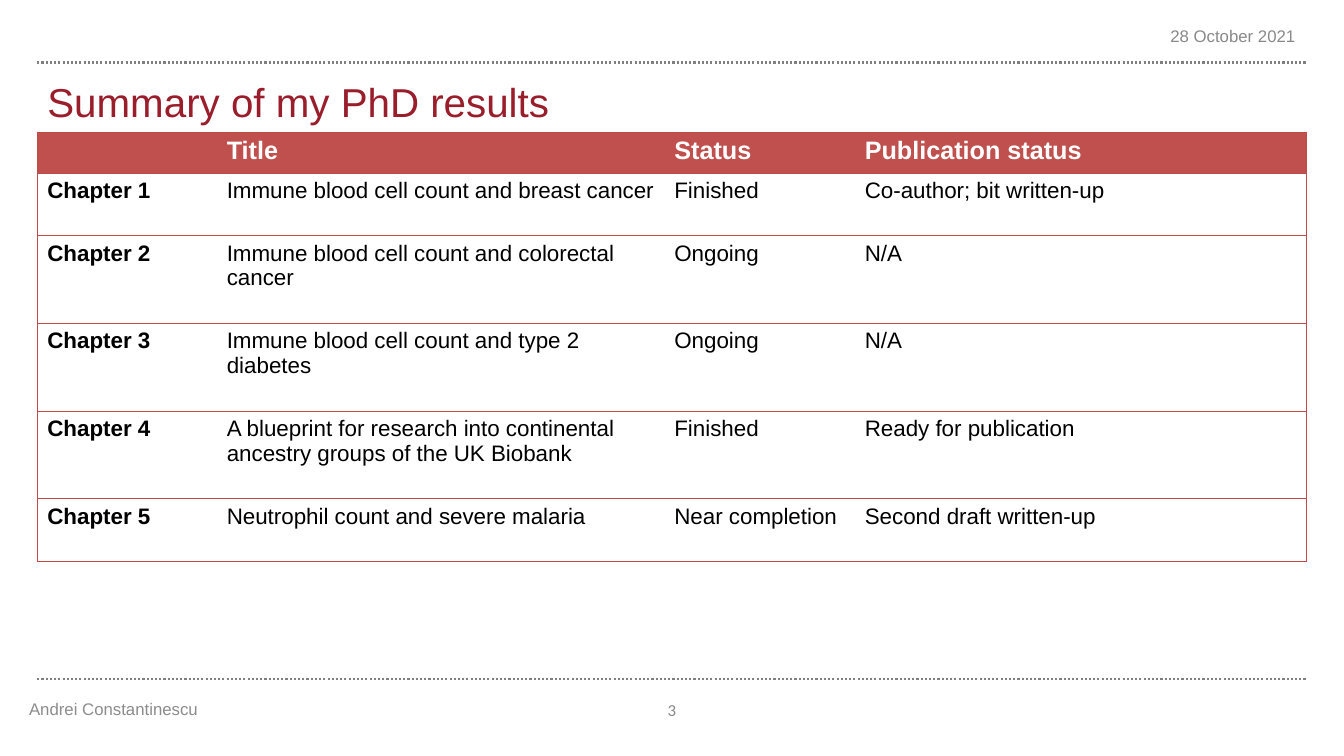
from dataclasses import dataclass

from lxml import etree
from pptx import Presentation
from pptx.dml.color import RGBColor
from pptx.enum.dml import MSO_LINE
from pptx.enum.shapes import MSO_CONNECTOR
from pptx.enum.text import MSO_ANCHOR, MSO_AUTO_SIZE, PP_ALIGN
from pptx.oxml.ns import qn
from pptx.util import Inches, Length, Pt

LEFT, CENTER, RIGHT = PP_ALIGN.LEFT, PP_ALIGN.CENTER, PP_ALIGN.RIGHT
TOP, MIDDLE, BOTTOM = MSO_ANCHOR.TOP, MSO_ANCHOR.MIDDLE, MSO_ANCHOR.BOTTOM
NO_AUTOFIT = MSO_AUTO_SIZE.NONE
STRAIGHT = MSO_CONNECTOR.STRAIGHT
DOTTED = MSO_LINE.ROUND_DOT

WHITE = RGBColor(0xFF, 0xFF, 0xFF)
BLACK = RGBColor(0, 0, 0)
CRIMSON = RGBColor(0x9A, 0x1D, 0x2B)
HEADER_RED = RGBColor(0xC0, 0x50, 0x4D)
BORDER_RED = RGBColor(0xBF, 0x4C, 0x48)
RULE_GRAY = RGBColor(0x80, 0x80, 0x80)
NOTE_GRAY = RGBColor(0x89, 0x89, 0x89)
AUTHOR_GRAY = RGBColor(0x8C, 0x8C, 0x8C)

# The page is a grid of 0.1 inch squares.
PAGE_COLUMNS, PAGE_ROWS = 133.33, 75
MARGIN, CONTENT_WIDTH = 3.7, 126
RULE_ROWS = (6.2, 67.4)
TABLE_TOP = 13.1
COLUMN_WIDTHS = (17.8, 44.4, 18.9, 34.6, 10.2)
ROW_HEIGHTS = (4.1, 6.2, 8.7, 8.7, 8.7, 6.2)

TABLE_ROWS = (
    ("", "Title", "Status", "Publication status", ""),
    ("Chapter 1", "Immune blood cell count and breast cancer",
     "Finished", "Co-author; bit written-up", ""),
    ("Chapter 2", "Immune blood cell count and colorectal cancer",
     "Ongoing", "N/A", ""),
    ("Chapter 3", "Immune blood cell count and type 2 diabetes",
     "Ongoing", "N/A", ""),
    ("Chapter 4", "A blueprint for research into continental ancestry groups "
     "of the UK Biobank", "Finished", "Ready for publication", ""),
    ("Chapter 5", "Neutrophil count and severe malaria",
     "Near completion", "Second draft written-up", ""),
)


@dataclass(frozen=True)
class Note:
    text: str
    left: float
    top: float
    width: float
    font_name: str
    color: RGBColor
    align: PP_ALIGN
    anchor: MSO_ANCHOR


NOTES = (
    Note("Andrei Constantinescu", 1.9, 68.3, 56.4, "Arial", AUTHOR_GRAY, LEFT, MIDDLE),
    Note("3", 61.4, 68.4, 10.5, "Calibri", NOTE_GRAY, CENTER, MIDDLE),
    Note("28 October 2021", 98.4, 2.1, 31.1, "Arial", NOTE_GRAY, RIGHT, TOP),
)


def grid(squares: float) -> Length:
    return Inches(squares / 10)


def style_font(para, name: str, size: float, color: RGBColor, bold: bool = False) -> None:
    para.font.name = name
    para.font.size = Pt(size)
    para.font.bold = bold
    para.font.color.rgb = color


def add_rule(page, row: float) -> None:
    rule = page.shapes.add_connector(
        STRAIGHT, grid(MARGIN), grid(row), grid(MARGIN + CONTENT_WIDTH), grid(row))
    rule.line.color.rgb = RULE_GRAY
    rule.line.width = Pt(1.5)
    rule.line.dash_style = DOTTED
    etree.SubElement(rule._element.spPr, qn("a:effectLst"))


def set_title(page, text: str) -> None:
    title = page.shapes.title
    title.left, title.top = grid(MARGIN), grid(7)
    title.width, title.height = grid(CONTENT_WIDTH), grid(6)
    frame = title.text_frame
    frame.text = text
    frame.auto_size = NO_AUTOFIT
    frame.vertical_anchor = BOTTOM
    para = frame.paragraphs[0]
    para.alignment = LEFT
    style_font(para, "Arial", 28.8, CRIMSON)


def add_note(page, note: Note) -> None:
    box = page.shapes.add_textbox(
        grid(note.left), grid(note.top), grid(note.width), grid(4))
    frame = box.text_frame
    frame.word_wrap = True
    frame.vertical_anchor = note.anchor
    frame.text = note.text
    para = frame.paragraphs[0]
    para.alignment = note.align
    style_font(para, note.font_name, 12, note.color)


def set_borders(cell, visible_sides: str) -> None:
    """Draw the sides named by letters (L, R, T, B) and clear the others."""
    properties = cell._tc.get_or_add_tcPr()
    for side in "LRTB":
        border = etree.SubElement(properties, qn(f"a:ln{side}"), w=str(Pt(0.75)))
        if side in visible_sides:
            fill = etree.SubElement(border, qn("a:solidFill"))
            etree.SubElement(fill, qn("a:srgbClr"), val=str(BORDER_RED))
        else:
            etree.SubElement(border, qn("a:noFill"))


def add_summary_table(page) -> None:
    table = page.shapes.add_table(
        len(TABLE_ROWS), len(COLUMN_WIDTHS), grid(MARGIN), grid(TABLE_TOP),
        grid(sum(COLUMN_WIDTHS)), grid(sum(ROW_HEIGHTS))).table
    table.horz_banding = False
    for column, width in zip(table.columns, COLUMN_WIDTHS):
        column.width = grid(width)
    last_column = len(COLUMN_WIDTHS) - 1
    for row_index, texts in enumerate(TABLE_ROWS):
        table.rows[row_index].height = grid(ROW_HEIGHTS[row_index])
        is_header = row_index == 0
        for column_index, text in enumerate(texts):
            cell = table.cell(row_index, column_index)
            outer_side = {0: "L", last_column: "R"}.get(column_index, "")
            set_borders(cell, "TB" + outer_side)
            if is_header:
                cell.fill.solid()
                cell.fill.fore_color.rgb = HEADER_RED
            else:
                cell.fill.background()
            cell.text = text
            style_font(cell.text_frame.paragraphs[0], "Arial",
                       18 if is_header else 16, WHITE if is_header else BLACK,
                       bold=is_header or column_index == 0)


def main() -> None:
    deck = Presentation()
    deck.slide_width, deck.slide_height = grid(PAGE_COLUMNS), grid(PAGE_ROWS)
    title_only = deck.slide_layouts[5]
    page = deck.slides.add_slide(title_only)
    for row in RULE_ROWS:
        add_rule(page, row)
    set_title(page, "Summary of my PhD results")
    for note in NOTES:
        add_note(page, note)
    add_summary_table(page)
    deck.save("out.pptx")


if __name__ == "__main__":
    main()
